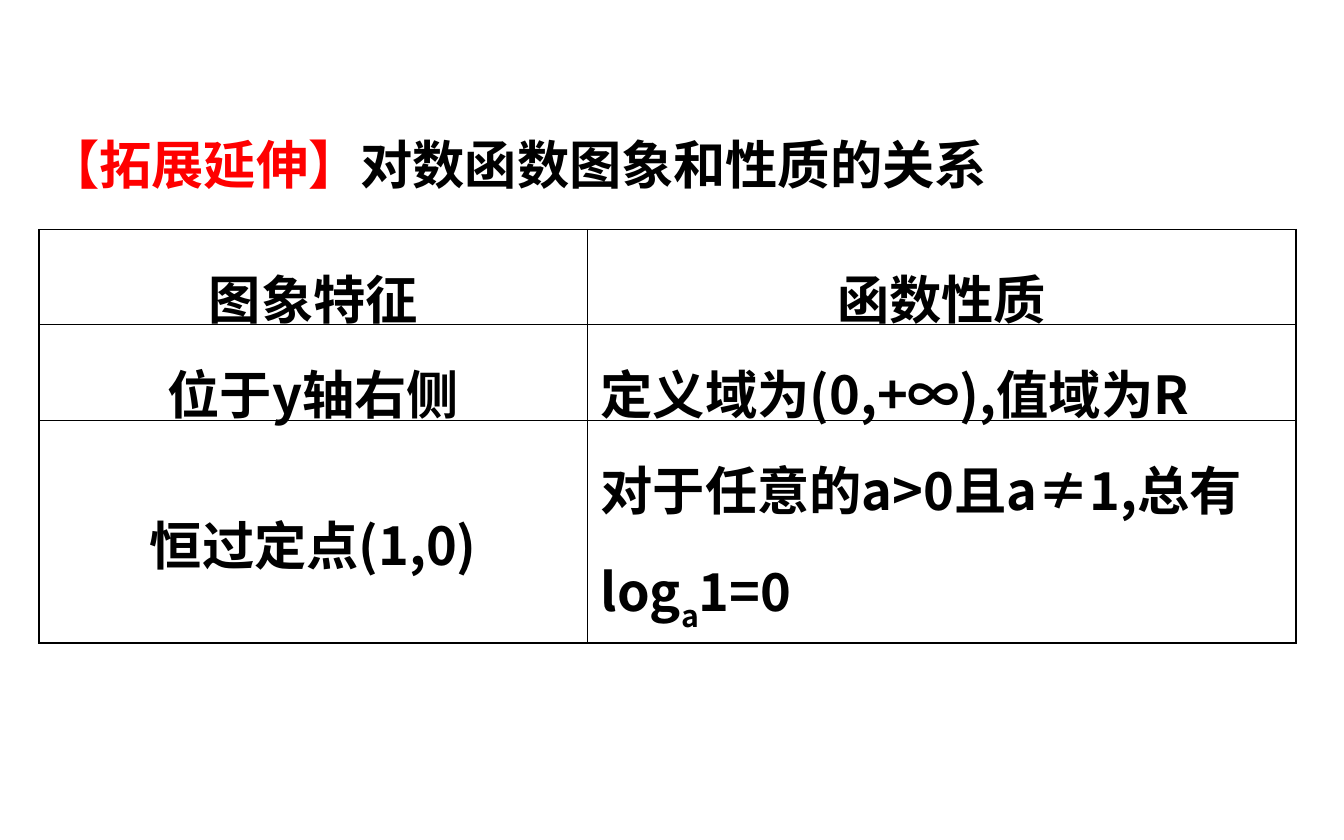
from dataclasses import dataclass

from lxml import etree
from pptx import Presentation
from pptx.dml.color import RGBColor
from pptx.enum.text import MSO_ANCHOR, MSO_AUTO_SIZE, PP_ALIGN
from pptx.oxml.ns import qn
from pptx.util import Cm, Pt

LEFT, CENTER = PP_ALIGN.LEFT, PP_ALIGN.CENTER
TOP, MIDDLE = MSO_ANCHOR.TOP, MSO_ANCHOR.MIDDLE
GROW = MSO_AUTO_SIZE.SHAPE_TO_FIT_TEXT


@dataclass(frozen=True)
class Theme:
    font: str = "Noto Sans CJK SC"
    size: float = 28
    ink: str = "000000"
    accent: str = "FF0000"
    outer_line: float = 0.96
    inner_line: float = 0.45


@dataclass(frozen=True)
class Run:
    text: str
    color: str = Theme.ink
    baseline: int = 0


@dataclass(frozen=True)
class CellText:
    runs: tuple[Run, ...]
    align: PP_ALIGN = CENTER


THEME = Theme()
TITLE = (Run("【拓展延伸】", THEME.accent), Run("对数函数图象和性质的关系"))
ROWS = (
    (CellText((Run("图象特征"),)), CellText((Run("函数性质"),))),
    (
        CellText((Run("位于y轴右侧"),)),
        CellText((Run("定义域为(0,+∞),值域为R"),), LEFT),
    ),
    (
        CellText((Run("恒过定点(1,0)"),)),
        CellText(
            (
                Run("对于任意的a>0且a≠1,总有log"),
                Run("a", baseline=-30000),
                Run("1=0"),
            ),
            LEFT,
        ),
    ),
)
COL_WIDTHS = (10.36, 13.39)
ROW_HEIGHTS = (1.8, 1.8, 4.22)


def write_text(tf, runs: tuple[Run, ...], *, align: PP_ALIGN, spacing: float) -> None:
    p = tf.paragraphs[0]
    p.alignment = align
    p.line_spacing = spacing
    p.space_before = Pt(0)
    for run in runs:
        r = p.add_run()
        r.text = run.text
        r.font.size = Pt(THEME.size)
        r.font.bold = True
        r.font.color.rgb = RGBColor.from_string(run.color)
        r.font.name = THEME.font
        rpr = r._r.get_or_add_rPr()
        etree.SubElement(rpr, qn("a:ea"), typeface=THEME.font)
        if run.baseline:
            rpr.set("baseline", str(run.baseline))


def set_borders(cell, outer: dict[str, bool]) -> None:
    tcpr = cell._tc.get_or_add_tcPr()
    for side, is_outer in outer.items():
        width = THEME.outer_line if is_outer else THEME.inner_line
        ln = etree.SubElement(tcpr, qn(f"a:ln{side}"), w=str(Pt(width)))
        fill = etree.SubElement(ln, qn("a:solidFill"))
        etree.SubElement(fill, qn("a:srgbClr"), val=THEME.ink)


def add_title(s) -> None:
    sp = s.shapes.title
    sp.left, sp.top, sp.width, sp.height = Cm(0.64), Cm(1.42), Cm(23.95), Cm(2.39)
    tf = sp.text_frame
    tf.word_wrap = True
    tf.auto_size = GROW
    tf.vertical_anchor = TOP
    write_text(tf, TITLE, align=LEFT, spacing=1.8)


def add_property_table(s) -> None:
    n_rows, n_cols = len(ROWS), len(COL_WIDTHS)
    table = s.shapes.add_table(
        n_rows, n_cols, Cm(0.74), Cm(4.34), Cm(sum(COL_WIDTHS)), Cm(sum(ROW_HEIGHTS))
    ).table
    table.first_row = False
    table.horz_banding = False
    for col, width in zip(table.columns, COL_WIDTHS):
        col.width = Cm(width)
    for row, height in zip(table.rows, ROW_HEIGHTS):
        row.height = Cm(height)
    for i, row in enumerate(ROWS):
        for j, content in enumerate(row):
            cell = table.cell(i, j)
            cell.vertical_anchor = MIDDLE
            write_text(cell.text_frame, content.runs, align=content.align, spacing=1.3)
            set_borders(
                cell,
                {"L": j == 0, "R": j == n_cols - 1, "T": i == 0, "B": i == n_rows - 1},
            )
            cell.fill.background()


def main() -> None:
    prs = Presentation()
    prs.slide_width, prs.slide_height = Cm(25.4), Cm(15.88)
    s = prs.slides.add_slide(prs.slide_layouts[5])
    add_title(s)
    add_property_table(s)
    prs.save("out.pptx")


if __name__ == "__main__":
    main()
